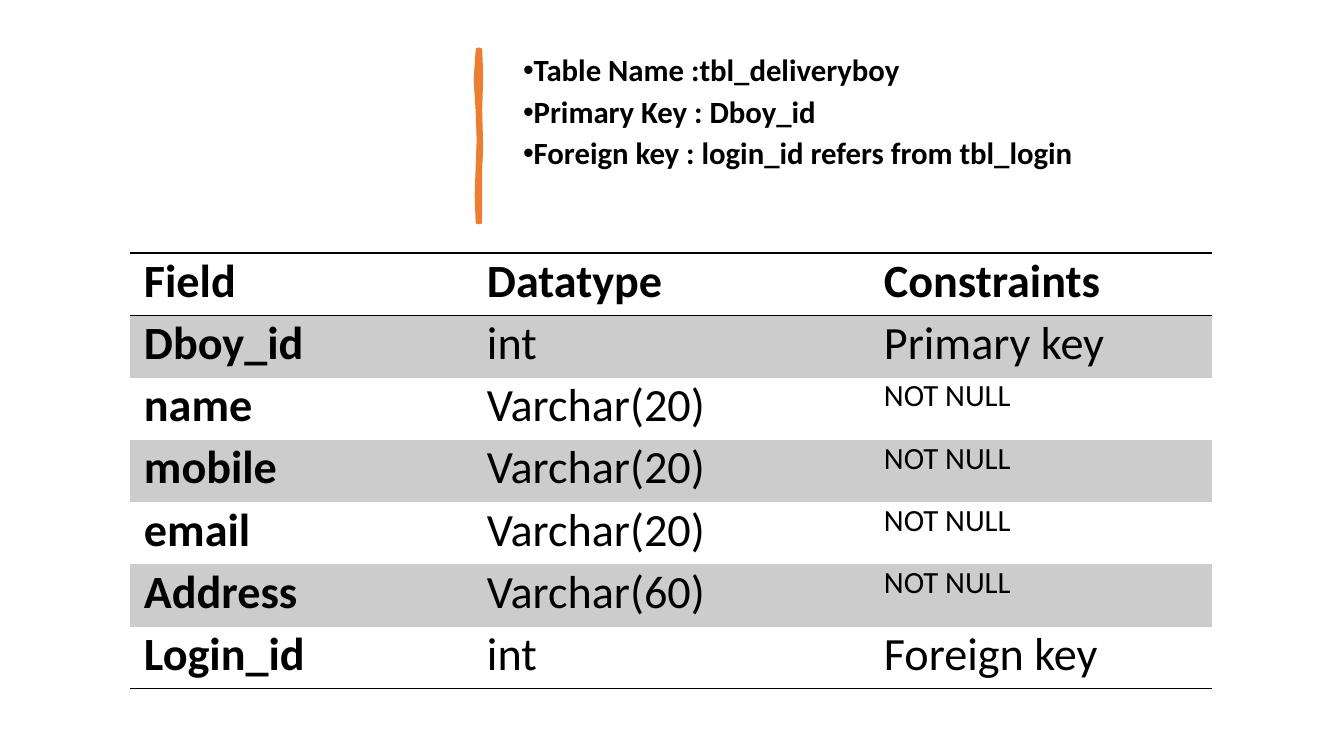
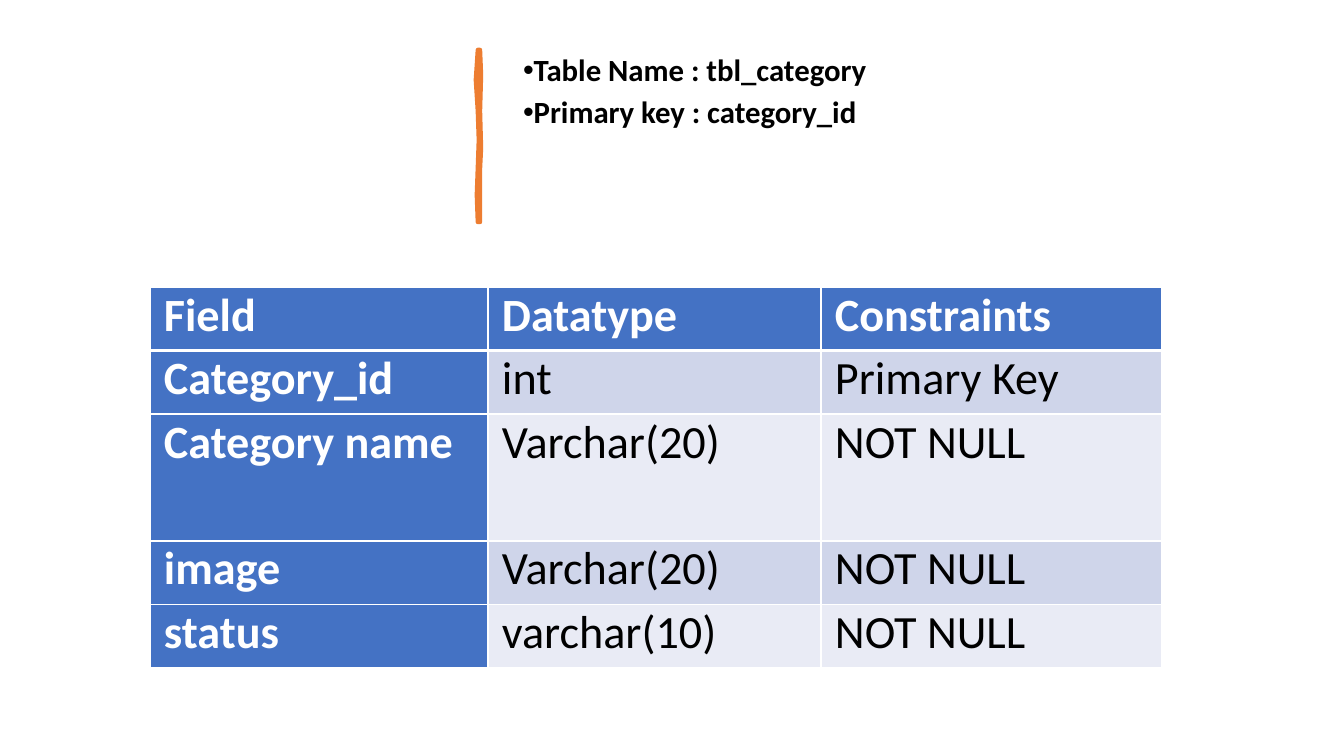
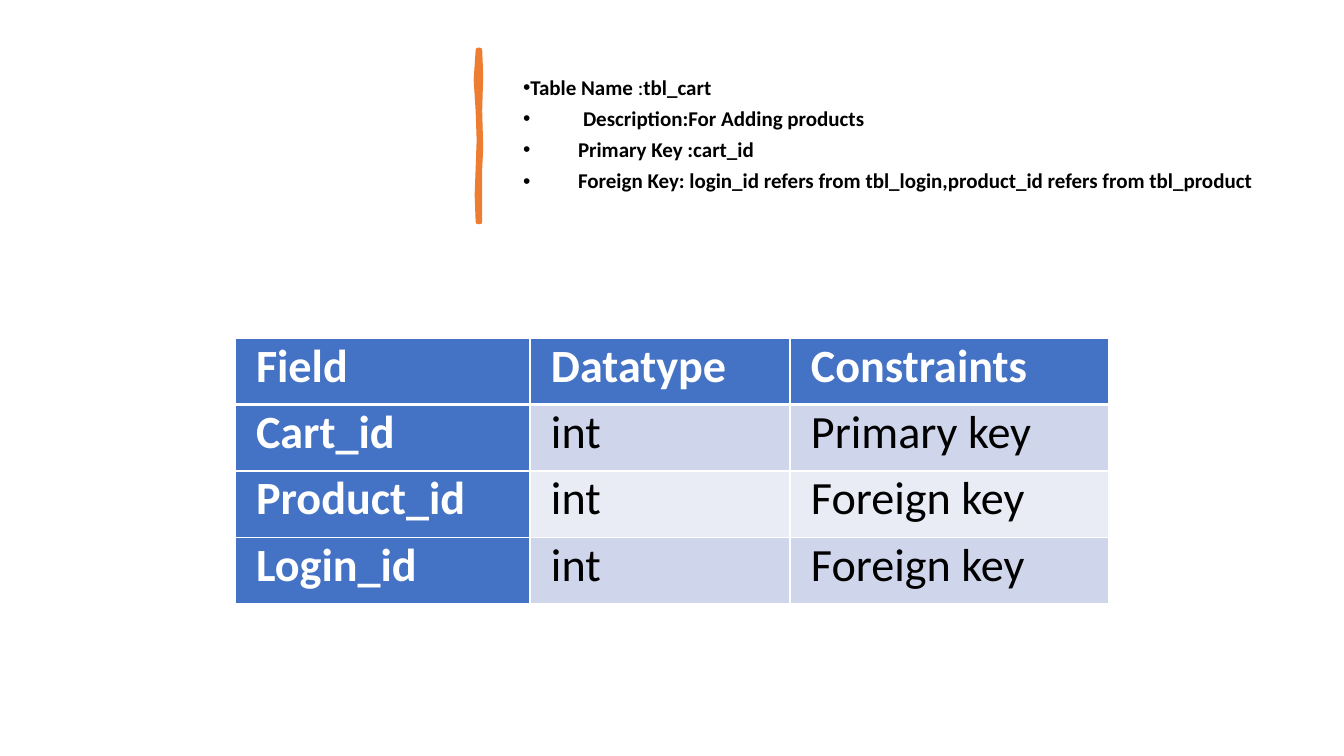
import pptx
import pptx.util
import pptx.dml.color
import pptx.enum.text
import pptx.oxml
import pptx.oxml.ns

PX = 914400 / 100.8
FONT = "Calibri"
COLORS = {
    "text": "000000",
    "white": "FFFFFF",
    "accent": "ED7D31",
    "grey": "CCCCCC",
    "blue": "4472C4",
    "blue_mid": "CFD5EA",
    "blue_pale": "E9EBF5",
}
NO_STYLE = "{2D5ABB26-0587-4C30-8999-92F81FD0307C}"
HEADER = ("Field", "Datatype", "Constraints")

TITLE_BOX = (513, 55, 760, 161)
BAR_AT = (476, 50)
BAR_OUTLINE = [(4, 0), (5, 25), (4, 61), (5, 98), (4, 119), (4, 172),
               (2, 172), (1, 145), (2, 118), (3, 90), (2, 61), (0, 30), (2, 0)]

# Fills for the header, the first column and the two alternating rows;
# horizontal rules as widths in points, "side" for the vertical ones.
PLAIN = {"head": None, "first": None, "bands": ("grey", None),
         "strong": "text", "line": "text",
         "top": 1, "under_head": 1, "inner": 0, "bottom": 1, "side": 0}
GRID = {"head": "blue", "first": "blue", "bands": ("blue_mid", "blue_pale"),
        "strong": "white", "line": "white",
        "top": 1, "under_head": 3, "inner": 1, "bottom": 1, "side": 1}


def px(n):
    return pptx.util.Emu(round(n * PX))


def rgb(name):
    return pptx.dml.color.RGBColor.from_string(COLORS[name])


def style_run(r, size, color="text", bold=False):
    r.font.name = FONT
    r.font.size = pptx.util.Pt(size)
    r.font.bold = bold
    r.font.color.rgb = rgb(color)


def xml(tag, inner="", **attrs):
    """Make one DrawingML element."""
    text = "".join(f' {k}="{v}"' for k, v in attrs.items())
    ns = pptx.oxml.ns.nsdecls("a")
    return pptx.oxml.parse_xml(f"<a:{tag} {ns}{text}>{inner}</a:{tag}>")


def add_bar(slide):
    """Draw the uneven brush stroke left of the title."""
    x, y = BAR_AT
    fb = slide.shapes.build_freeform(*BAR_OUTLINE[0], scale=PX)
    fb.add_line_segments(BAR_OUTLINE[1:], close=True)
    sp = fb.convert_to_shape(px(x), px(y))
    sp.shadow.inherit = False
    sp.fill.solid()
    sp.fill.fore_color.rgb = rgb("accent")
    sp.line.color.rgb = rgb("accent")
    sp.line.width = pptx.util.Pt(3.25)
    sp.line._get_or_add_ln().append(xml("round"))


def add_title(slide, lines, size, anchor):
    """Each line is (hanging indent in px, [(text, bold), ...])."""
    sp = slide.shapes.title
    sp.left, sp.top, sp.width, sp.height = map(px, TITLE_BOX)
    tf = sp.text_frame
    tf.word_wrap = True
    tf.auto_size = pptx.enum.text.MSO_AUTO_SIZE.NONE
    tf.vertical_anchor = anchor
    tf.margin_left = tf.margin_right = px(10)
    tf.margin_top = tf.margin_bottom = 0
    for i, (indent, parts) in enumerate(lines):
        p = tf.add_paragraph() if i else tf.paragraphs[0]
        p.alignment = pptx.enum.text.PP_ALIGN.LEFT
        p.line_spacing = 0.9
        p.space_after = pptx.util.Pt(6)
        ppr = p._p.get_or_add_pPr()
        ppr.set("marL", str(px(indent)))
        ppr.set("indent", str(-px(indent or 25)))
        ppr.append(xml("buFont", typeface="Arial"))
        ppr.append(xml("buChar", char="•"))
        for text, bold in parts:
            r = p.add_run()
            r.text = text
            style_run(r, size, bold=bold)


def set_borders(cell, color, **widths):
    """Set lnL, lnR, lnT and lnB; a width of 0 hides the line."""
    tcpr = cell._tc.get_or_add_tcPr()
    fill = f'<a:solidFill><a:srgbClr val="{COLORS[color]}"/></a:solidFill>'
    for i, side in enumerate("LRTB"):
        w = widths[side]
        tcpr.insert(i, xml("ln" + side, fill if w else "<a:noFill/>",
                           w=pptx.util.Pt(w)))


def add_field_table(slide, left, top, height, cols, rows, style,
                    weights=None, inset=14, small=()):
    """weights are relative row heights; texts in small are set smaller."""
    rows = [HEADER, *rows]
    last = len(rows)
    weights = weights or [1] * last
    frame = slide.shapes.add_table(last, len(cols), px(left), px(top),
                                   px(sum(cols)), px(height))
    table = frame.table
    table.first_row = table.horz_banding = False
    table._tbl.tblPr.find(pptx.oxml.ns.qn("a:tableStyleId")).text = NO_STYLE
    for col, w in zip(table.columns, cols):
        col.width = px(w)
    rules = [style["top"], style["under_head"],
             *[style["inner"]] * (last - 2), style["bottom"]]
    for i, texts in enumerate(rows):
        table.rows[i].height = px(height * weights[i] / sum(weights))
        for j, text in enumerate(texts):
            cell = table.cell(i, j)
            strong = i == 0 or j == 0
            cell.text_frame.text = text
            style_run(cell.text_frame.paragraphs[0].runs[0],
                      22 if text in small else 33,
                      style["strong"] if strong else "text", strong)
            cell.margin_left = cell.margin_right = px(inset)
            cell.margin_top = cell.margin_bottom = 0
            band = style["bands"][(i - 1) % 2]
            fill = style["head"] if i == 0 else (j == 0 and style["first"]) or band
            if fill:
                cell.fill.solid()
                cell.fill.fore_color.rgb = rgb(fill)
            else:
                cell.fill.background()
            set_borders(cell, style["line"], L=style["side"], R=style["side"],
                        T=rules[i], B=rules[i + 1])


def add_schema_slide(prs, lines, size, anchor, **table):
    slide = prs.slides.add_slide(prs.slide_layouts[5])
    add_bar(slide)
    add_title(slide, lines, size, anchor)
    add_field_table(slide, **table)


def main():
    prs = pptx.Presentation()
    prs.slide_width, prs.slide_height = px(1344), px(756)
    anchors = pptx.enum.text.MSO_ANCHOR

    add_schema_slide(
        prs,
        [(0, [("Table Name :tbl_deliveryboy", True)]),
         (0, [("Primary Key : Dboy_id", True)]),
         (0, [("Foreign key : login_id refers from tbl_login", True)])],
        22, anchors.TOP,
        left=130, top=253, height=436, cols=(343, 397, 342), style=PLAIN,
        small=("NOT NULL",),
        rows=[("Dboy_id", "int", "Primary key"),
              ("name", "Varchar(20)", "NOT NULL"),
              ("mobile", "Varchar(20)", "NOT NULL"),
              ("email", "Varchar(20)", "NOT NULL"),
              ("Address", "Varchar(60)", "NOT NULL"),
              ("Login_id", "int", "Foreign key")])

    add_schema_slide(
        prs,
        [(0, [("Table Name : tbl_category", True)]),
         (0, [("Primary key : category_id", True)])],
        22, anchors.TOP,
        left=150, top=287, height=381, cols=(338, 333, 341), style=GRID,
        weights=(1, 1, 2, 1, 1),
        rows=[("Category_id", "int", "Primary Key"),
              ("Category name", "Varchar(20)", "NOT NULL"),
              ("image", "Varchar(20)", "NOT NULL"),
              ("status", "varchar(10)", "NOT NULL")])

    add_schema_slide(
        prs,
        [(0, [("Table Name", True), (" :", False), ("tbl_cart", True)]),
         (60, [("Description:For Adding products", True)]),
         (55, [("Primary Key :cart_id", True)]),
         (55, [("Foreign Key: login_id refers from tbl_login,"
                "product_id refers from tbl_product", True)])],
        15, anchors.MIDDLE,
        left=235, top=338, height=266, cols=(295, 260, 319), style=GRID,
        inset=21,
        rows=[("Cart_id", "int", "Primary key"),
              ("Product_id", "int", "Foreign key"),
              ("Login_id", "int", "Foreign key")])

    prs.save("out.pptx")


if __name__ == "__main__":
    main()
